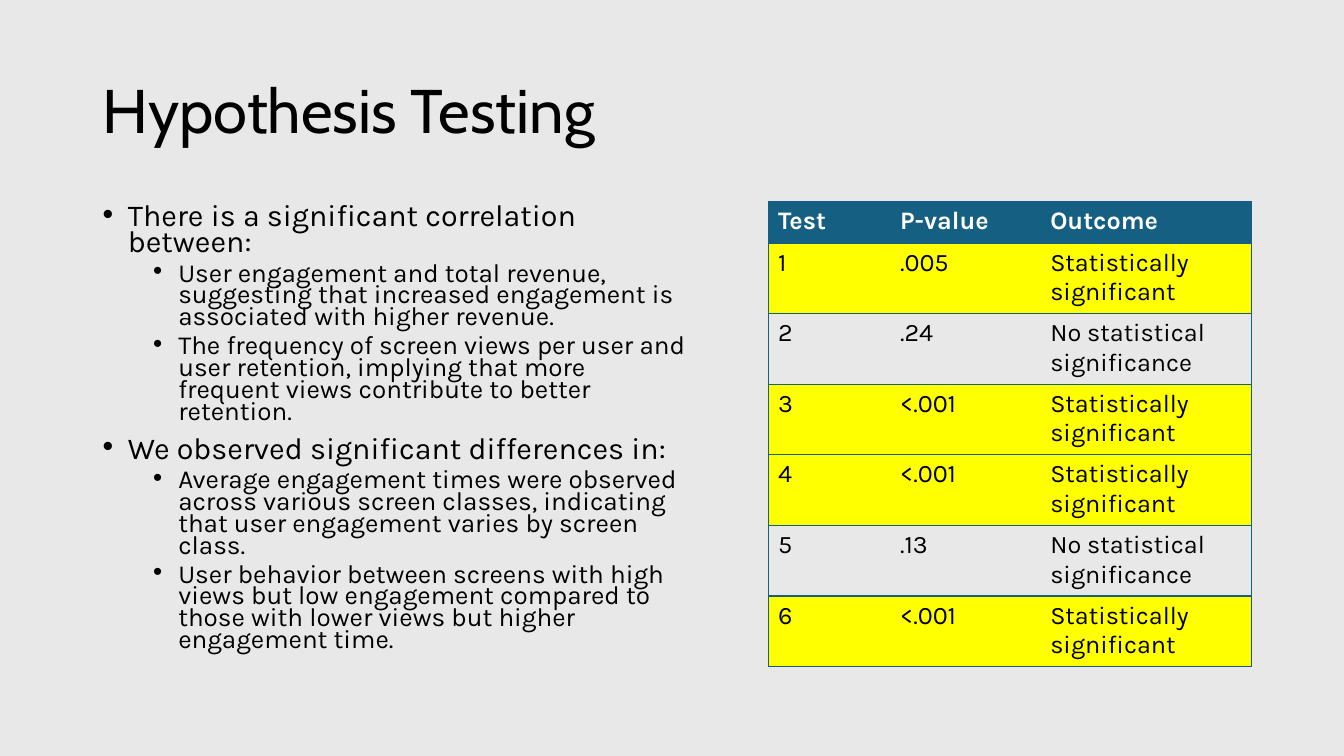
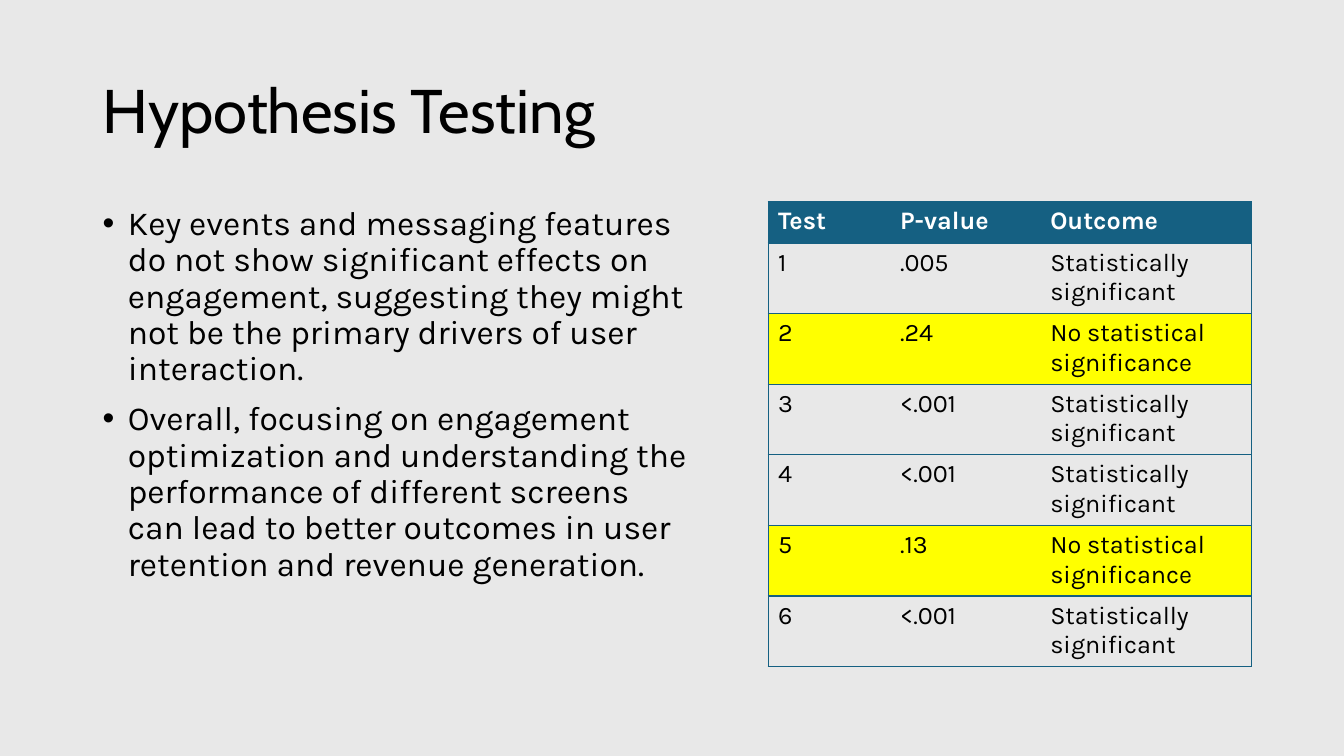
from lxml.etree import SubElement
from pptx import Presentation
from pptx.dml.color import RGBColor
from pptx.enum.text import MSO_ANCHOR, MSO_AUTO_SIZE, PP_ALIGN
from pptx.oxml import parse_xml
from pptx.oxml.ns import nsdecls, qn
from pptx.util import Emu, Inches, Pt

# Content
TITLE = "Hypothesis Testing"
HEADER = ("Test", "P-value", "Outcome")
P_VALUES = (".005", ".24", "<.001", "<.001", ".13", "<.001")
OUTCOMES = {True: "Statistically significant", False: "No statistical significance"}
NOT_SIGNIFICANT = {2, 5}

# Each point is (level, text); each slide highlights one kind of outcome
SLIDES = [
    dict(
        highlight=True, sizes=(21.7, 18.6), line_spacing=0.7,
        points=[
            (0, "There is a significant correlation between:"),
            (1, "User engagement and total revenue, suggesting that increased "
                "engagement is associated with higher revenue."),
            (1, "The frequency of screen views per user and user retention, implying "
                "that more frequent views contribute to better retention."),
            (0, "We observed significant differences in:"),
            (1, "Average engagement times were observed across various screen classes, "
                "indicating that user engagement varies by screen class."),
            (1, "User behavior between screens with high views but low engagement "
                "compared to those with lower views but higher engagement time."),
        ],
    ),
    dict(
        highlight=False, sizes=(24,), line_spacing=0.9,
        points=[
            (0, "Key events and messaging features do not show significant effects on "
                "engagement, suggesting they might not be the primary drivers of user "
                "interaction."),
            (0, "Overall, focusing on engagement optimization and understanding the "
                "performance of different screens can lead to better outcomes in user "
                "retention and revenue generation."),
        ],
    ),
]

# Shared style
PAPER, INK, WHITE, BLUE, YELLOW = "E8E8E8", "000000", "FFFFFF", "156082", "FFFF00"
TITLE_FONT, TEXT_FONT = "Cabin", "Karla"
TITLE_BOX = (0.92, 0.4, 11.5, 1.45)
POINTS_BOX = (0.92, 2, 6.02, 4.76)
TABLE_LEFT, TABLE_TOP = 7.62, 2
COLUMNS = (1.21, 1.49, 2.1)
HEADER_ROW, TEST_ROW = 0.41, 0.68


def rgb(color):
    return RGBColor.from_string(color)


def style(paragraph, font, size, color, bold=False):
    paragraph.font.name = font
    paragraph.font.size = Pt(size)
    paragraph.font.color.rgb = rgb(color)
    paragraph.font.bold = bold


def add_title(slide):
    title = slide.shapes.title
    title.left, title.top, title.width, title.height = map(Inches, TITLE_BOX)
    frame = title.text_frame
    frame.text = TITLE
    frame.vertical_anchor = MSO_ANCHOR.MIDDLE
    frame.auto_size = MSO_AUTO_SIZE.NONE
    paragraph = frame.paragraphs[0]
    paragraph.alignment = PP_ALIGN.LEFT
    paragraph.line_spacing = 0.9
    style(paragraph, TITLE_FONT, 44, INK)


def add_bullet(paragraph, level):
    properties = paragraph._p.get_or_add_pPr()
    properties.set("marL", str(Inches(0.25 + 0.5 * level)))
    properties.set("indent", str(-Inches(0.25)))
    SubElement(properties, qn("a:buFont")).set("typeface", "Arial")
    SubElement(properties, qn("a:buChar")).set("char", "•")


def add_points(slide, points, sizes, line_spacing):
    frame = slide.shapes.add_textbox(*map(Inches, POINTS_BOX)).text_frame
    frame.word_wrap = True
    for i, (level, text) in enumerate(points):
        paragraph = frame.add_paragraph() if i else frame.paragraphs[0]
        paragraph.text = text
        paragraph.level = level
        paragraph.line_spacing = line_spacing
        paragraph.space_before = Pt((10, 5)[level])
        add_bullet(paragraph, level)
        style(paragraph, TEXT_FONT, sizes[level], INK)


def set_borders(cell, sides):
    """Draw the named sides (L, R, T, B) and clear the others."""
    properties = cell._tc.get_or_add_tcPr()
    for i, side in enumerate("LRTB"):
        paint = (f'<a:solidFill><a:srgbClr val="{BLUE}"/></a:solidFill>'
                 if side in sides else "<a:noFill/>")
        line = f'<a:ln{side} {nsdecls("a")} w="{Pt(1)}">{paint}</a:ln{side}>'
        properties.insert(i, parse_xml(line))


def add_results(slide, highlight):
    rows = [(HEADER, BLUE)]
    for number, p_value in enumerate(P_VALUES, 1):
        significant = number not in NOT_SIGNIFICANT
        fill = YELLOW if significant == highlight else None
        rows.append(((str(number), p_value, OUTCOMES[significant]), fill))

    heights = [HEADER_ROW] + [TEST_ROW] * len(P_VALUES)
    box = (TABLE_LEFT, TABLE_TOP, sum(COLUMNS), sum(heights))
    table = slide.shapes.add_table(
        len(rows), len(COLUMNS), *map(Inches, box)).table
    table.horz_banding = False
    for column, width in zip(table.columns, COLUMNS):
        column.width = Inches(width)
    for r, (texts, fill) in enumerate(rows):
        table.rows[r].height = Inches(heights[r])
        for c, text in enumerate(texts):
            cell = table.cell(r, c)
            cell.text = text
            if fill:
                cell.fill.solid()
                cell.fill.fore_color.rgb = rgb(fill)
            else:
                cell.fill.background()
            set_borders(cell, "TB" + ("L", "", "R")[c])
            style(cell.text_frame.paragraphs[0], TEXT_FONT, 18,
                  INK if r else WHITE, bold=r == 0)


def main():
    prs = Presentation()
    prs.slide_width, prs.slide_height = Emu(12192000), Inches(7.5)
    background = prs.slide_master.background.fill
    background.solid()
    background.fore_color.rgb = rgb(PAPER)
    title_only = prs.slide_layouts[5]
    for content in SLIDES:
        slide = prs.slides.add_slide(title_only)
        add_title(slide)
        add_points(slide, content["points"], content["sizes"], content["line_spacing"])
        add_results(slide, content["highlight"])
    prs.save("out.pptx")


if __name__ == "__main__":
    main()
